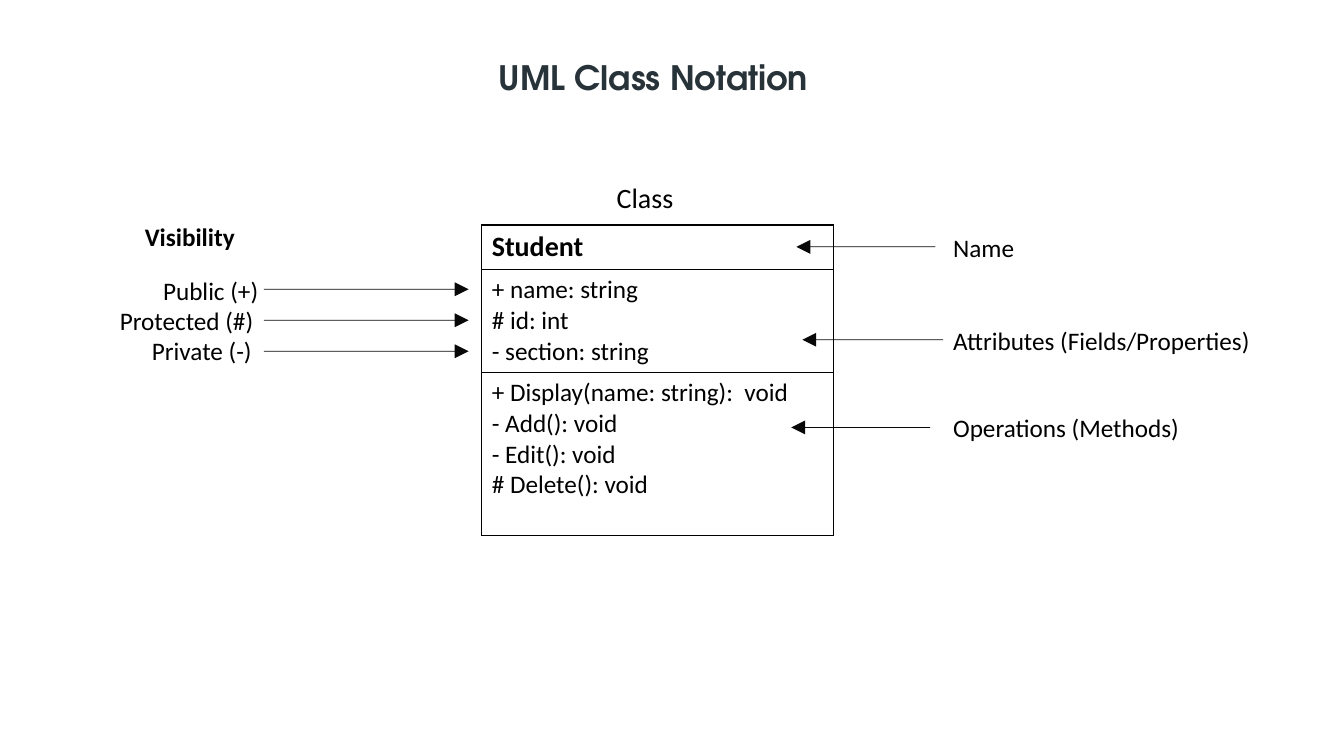
from dataclasses import dataclass

from lxml import etree
from pptx import Presentation
from pptx.dml.color import RGBColor
from pptx.enum.shapes import MSO_CONNECTOR
from pptx.enum.text import MSO_AUTO_SIZE
from pptx.oxml.ns import qn
from pptx.slide import Slide
from pptx.table import _Cell
from pptx.text.text import TextFrame
from pptx.util import Cm, Pt

STRAIGHT = MSO_CONNECTOR.STRAIGHT
GROW = MSO_AUTO_SIZE.SHAPE_TO_FIT_TEXT

BLACK = RGBColor(0x00, 0x00, 0x00)
SLATE = RGBColor(0x27, 0x32, 0x39)
BODY_FONT = "Calibri"
TITLE_FONT = "TeX Gyre Adventor"


@dataclass
class Label:
    text: str
    left: float
    top: float
    width: float
    height: float = 1.02
    size: int = 18
    bold: bool = False
    font: str = BODY_FONT
    color: RGBColor = BLACK
    wrap: bool = False


@dataclass
class Arrow:
    start: float
    tip: float
    y: float


@dataclass
class Compartment:
    lines: list[str]
    height: float
    size: int = 18
    bold: bool = False


# Class box
CLASS_LEFT, CLASS_TOP, CLASS_WIDTH = 12.14, 5.67, 8.86
COMPARTMENTS = [
    Compartment(["Student"], 1.12, size=20, bold=True),
    Compartment(["+ name: string", "# id: int", "- section: string"], 2.6),
    Compartment(["+ Display(name: string):  void", "- Add(): void",
                 "- Edit(): void", "# Delete(): void"], 4.11),
]

# Headings and callouts
PART_LEFT = 23.77
VISIBILITY_TOP, VISIBILITY_STEP = 6.81, 0.76
LABELS = [
    Label("UML Class Notation", 12.32, 1.3, 9.68, 2.31, size=24, bold=True,
          font=TITLE_FONT, color=SLATE, wrap=True),
    Label("Class", 15.29, 4.42, 1.96, 1.12, size=20),
    Label("Visibility", 3.4, 5.46, 2.79, bold=True),
    Label("Name", PART_LEFT, 5.72, 2.06),
    Label("Attributes (Fields/Properties)", PART_LEFT, 8.08, 8.08),
    Label("Operations (Methods)", PART_LEFT, 10.26, 6.27),
] + [
    Label(text, left, VISIBILITY_TOP + index * VISIBILITY_STEP, width)
    for index, (text, left, width) in enumerate([
        ("Public (+)", 3.86, 2.95),
        ("Protected (#)", 2.77, 3.91),
        ("Private (-)", 3.58, 3.05),
    ])
]

ARROWS = [
    Arrow(23.57, 20.07, 6.22),
    Arrow(23.77, 20.22, 8.56),
    Arrow(23.44, 19.94, 10.77),
] + [Arrow(6.65, 11.81, 7.29 + index * 0.78) for index in range(3)]


def write_text(frame: TextFrame, text: str, *, size: int, bold: bool = False,
               font: str = BODY_FONT, color: RGBColor = BLACK) -> None:
    """Fill a text frame, one paragraph for each line."""
    for index, line in enumerate(text.split("\n")):
        paragraph = frame.add_paragraph() if index else frame.paragraphs[0]
        run = paragraph.add_run()
        run.text = line
        run.font.name = font
        run.font.size = Pt(size)
        run.font.bold = bold
        run.font.color.rgb = color


def add_label(slide: Slide, label: Label) -> None:
    box = slide.shapes.add_textbox(Cm(label.left), Cm(label.top),
                                   Cm(label.width), Cm(label.height))
    frame = box.text_frame
    frame.word_wrap = label.wrap
    frame.auto_size = GROW
    write_text(frame, label.text, size=label.size, bold=label.bold,
               font=label.font, color=label.color)


def add_arrow(slide: Slide, arrow: Arrow) -> None:
    connector = slide.shapes.add_connector(
        STRAIGHT, Cm(arrow.start), Cm(arrow.y), Cm(arrow.tip), Cm(arrow.y))
    connector.line.color.rgb = BLACK
    connector.line.width = Pt(0.5)
    properties = connector._element.spPr
    line = properties.find(qn("a:ln"))
    etree.SubElement(line.find(".//" + qn("a:srgbClr")), qn("a:alpha"), val="97000")
    etree.SubElement(line, qn("a:tailEnd"), type="triangle", w="lg", len="lg")
    etree.SubElement(properties, qn("a:effectLst"))


def add_borders(cell: _Cell) -> None:
    properties = cell._tc.get_or_add_tcPr()
    for position, side in enumerate(("a:lnL", "a:lnR", "a:lnT", "a:lnB")):
        border = etree.Element(qn(side), w=str(Pt(1)))
        fill = etree.SubElement(border, qn("a:solidFill"))
        etree.SubElement(fill, qn("a:srgbClr"), val=str(BLACK))
        properties.insert(position, border)


def add_class_box(slide: Slide) -> None:
    height = sum(compartment.height for compartment in COMPARTMENTS)
    table = slide.shapes.add_table(
        len(COMPARTMENTS), 1, Cm(CLASS_LEFT), Cm(CLASS_TOP),
        Cm(CLASS_WIDTH), Cm(height)).table
    table.first_row = False
    table.horz_banding = False
    for row, compartment in enumerate(COMPARTMENTS):
        table.rows[row].height = Cm(compartment.height)
        cell = table.cell(row, 0)
        cell.fill.background()
        add_borders(cell)
        write_text(cell.text_frame, "\n".join(compartment.lines),
                   size=compartment.size, bold=compartment.bold)


def main() -> None:
    presentation = Presentation()
    presentation.slide_width = Cm(33.87)
    presentation.slide_height = Cm(19.05)
    slide = presentation.slides.add_slide(presentation.slide_layouts[6])
    add_class_box(slide)
    for arrow in ARROWS:
        add_arrow(slide, arrow)
    for label in LABELS:
        add_label(slide, label)
    presentation.save("out.pptx")


if __name__ == "__main__":
    main()
